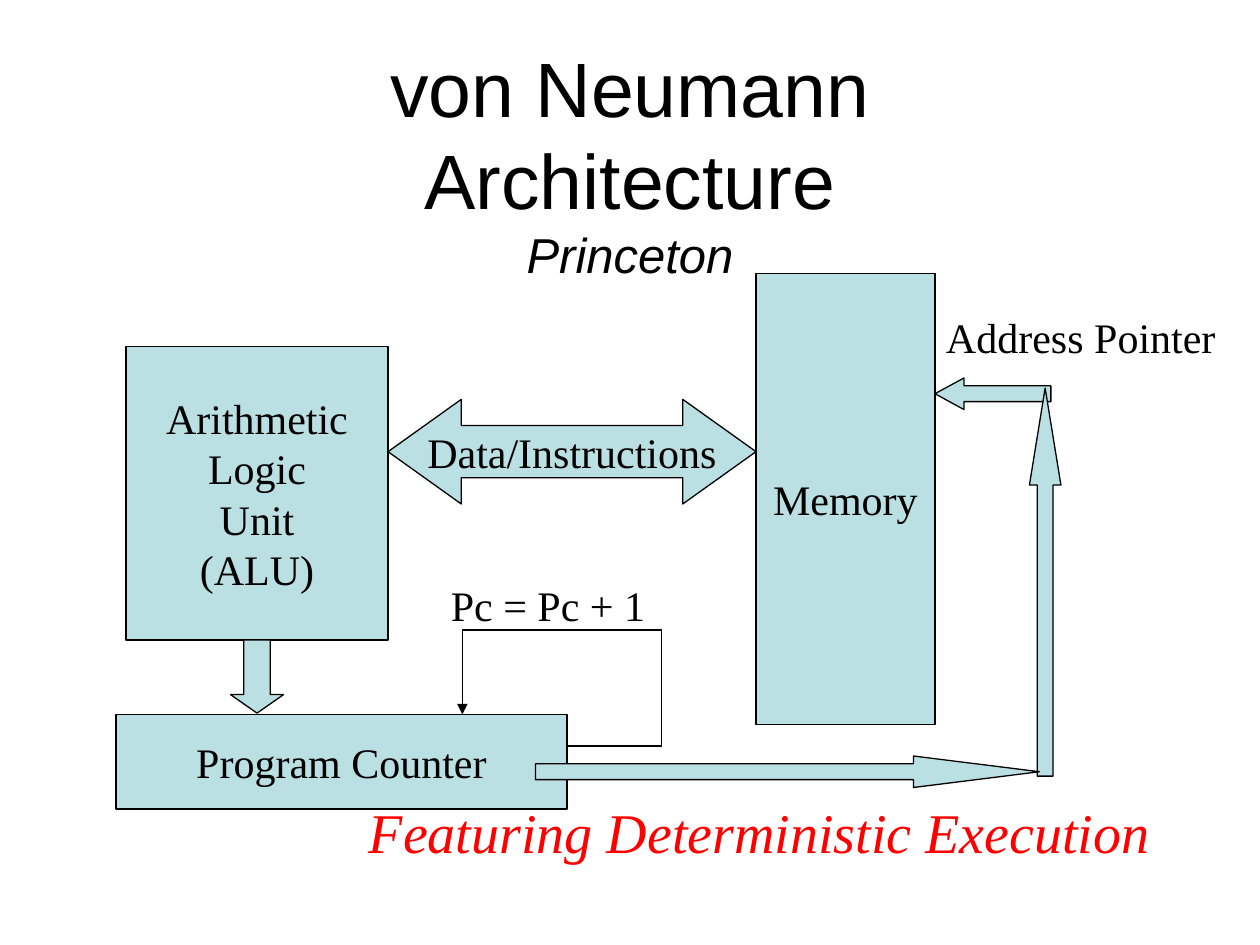
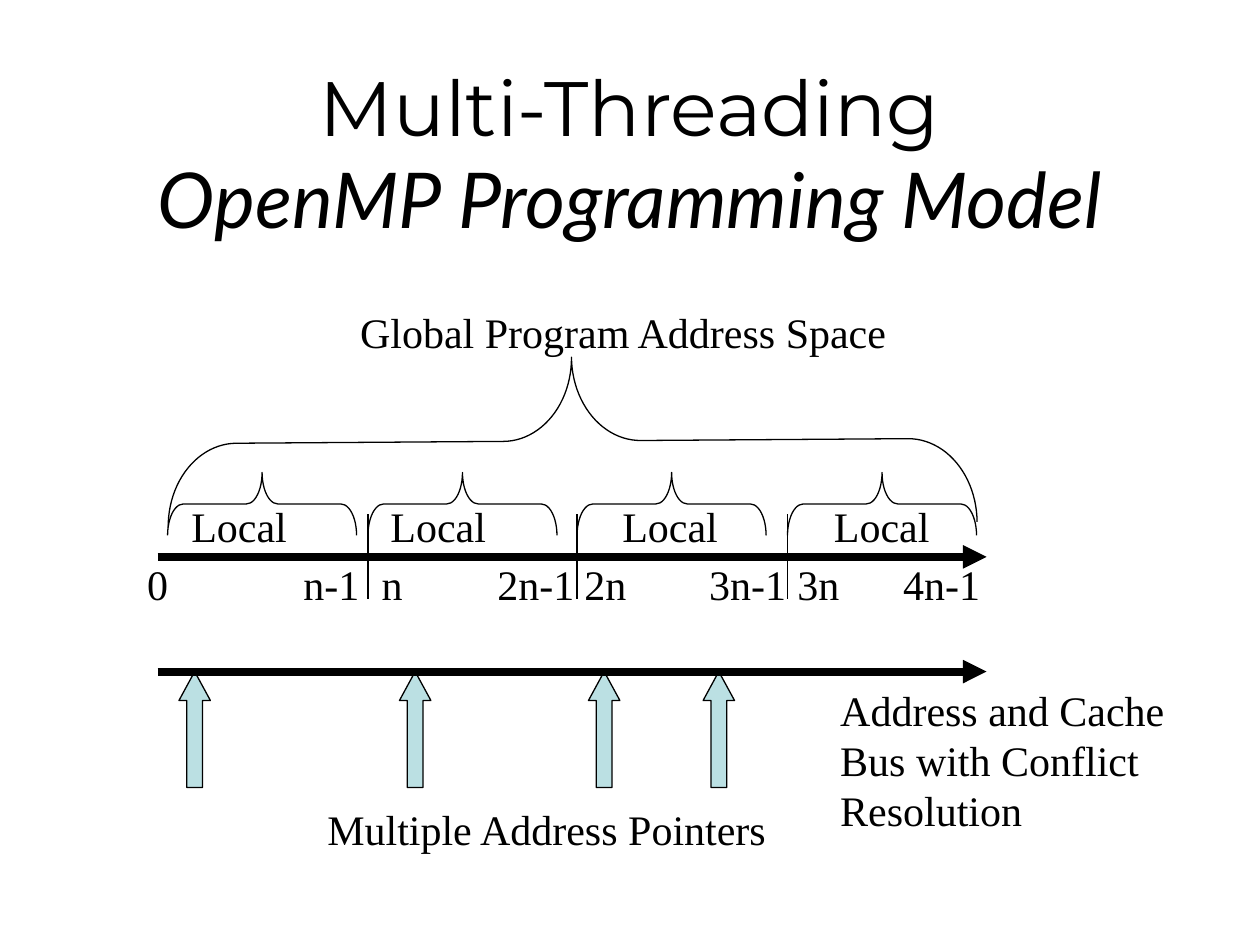
from itertools import pairwise

from lxml.etree import SubElement
from pptx import Presentation
from pptx.dml.color import RGBColor
from pptx.enum.shapes import MSO_CONNECTOR, MSO_SHAPE
from pptx.enum.text import MSO_ANCHOR, PP_ALIGN
from pptx.oxml.ns import qn
from pptx.util import Inches, Pt

BLACK = RGBColor(0x00, 0x00, 0x00)
RED = RGBColor(0xFF, 0x00, 0x00)
PALE_TEAL = RGBColor(0xBB, 0xE0, 0xE3)
BODY_FONT = "Times New Roman"
BODY_SIZE = 24
TITLE_SIZE = 44
OUTLINE = 0.75


class DiagramDeck:
    """Builds diagram slides in one shared style."""

    def __init__(self):
        self.deck = Presentation()
        self.deck.slide_width = Inches(10)
        self.deck.slide_height = Inches(7.5)
        self.page = None

    def new_page(self):
        self.page = self.deck.slides.add_slide(self.deck.slide_layouts[6])

    def span(self, para, text, font=BODY_FONT, size=BODY_SIZE, color=BLACK, italic=False):
        span = para.add_run()
        span.text = text
        span.font.name = font
        span.font.size = Pt(size)
        span.font.color.rgb = color
        span.font.italic = italic

    def paragraphs(self, frame, lines, align, **style):
        for index, line in enumerate(lines):
            para = frame.add_paragraph() if index else frame.paragraphs[0]
            para.alignment = align
            self.span(para, line, **style)

    def text_box(self, left, top, width, height):
        box = self.page.shapes.add_textbox(
            Inches(left), Inches(top), Inches(width), Inches(height))
        box.text_frame.word_wrap = True
        return box.text_frame

    def title(self, top, height, lines):
        frame = self.text_box(0.75, top, 8.5, height)
        frame.vertical_anchor = MSO_ANCHOR.MIDDLE
        para = frame.paragraphs[0]
        para.alignment = PP_ALIGN.CENTER
        for index, (text, font, size, italic) in enumerate(lines):
            if index:
                para.add_line_break()
            self.span(para, text, font, size, italic=italic)

    def label(self, left, top, width, lines, height=0.5, **style):
        frame = self.text_box(left, top, width, height)
        self.paragraphs(frame, lines, PP_ALIGN.LEFT, **style)

    def tabbed_label(self, left, top, width, words, stops):
        frame = self.text_box(left, top, width, 0.5)
        para = frame.paragraphs[0]
        tabs = SubElement(para._p.get_or_add_pPr(), qn("a:tabLst"))
        for stop in stops:
            SubElement(tabs, qn("a:tab"), pos=str(Inches(stop)), algn="l")
        self.span(para, "\t".join(words))

    def shape(self, kind, left, top, width, height, lines=(), adjust=(), filled=True):
        shape = self.page.shapes.add_shape(
            kind, Inches(left), Inches(top), Inches(width), Inches(height))
        shape.shadow.inherit = False
        if filled:
            shape.fill.solid()
            shape.fill.fore_color.rgb = PALE_TEAL
        else:
            shape.fill.background()
        shape.line.color.rgb = BLACK
        shape.line.width = Pt(OUTLINE)
        for index, value in enumerate(adjust):
            shape.adjustments[index] = value
        if lines:
            shape.text_frame.word_wrap = False
            shape.text_frame.vertical_anchor = MSO_ANCHOR.MIDDLE
            self.paragraphs(shape.text_frame, lines, PP_ALIGN.CENTER)
        return shape

    def up_brace(self, center, middle, span, depth, curve, rotation=90):
        brace = self.shape(MSO_SHAPE.LEFT_BRACE, center - depth / 2, middle - span / 2,
                           depth, span, adjust=(curve, 0.5), filled=False)
        brace.rotation = rotation

    def line(self, start, end, weight=OUTLINE, arrow=False):
        line = self.page.shapes.add_connector(
            MSO_CONNECTOR.STRAIGHT, *map(Inches, (*start, *end)))
        line.line.color.rgb = BLACK
        line.line.width = Pt(weight)
        if arrow:
            SubElement(line.line._get_or_add_ln(), qn("a:tailEnd"), type="triangle")
        SubElement(line._element.spPr, qn("a:effectLst"))

    def save(self):
        self.deck.save("out.pptx")


def von_neumann(deck):
    deck.new_page()
    deck.title(0.27, 2.03, [("von Neumann", "Arial", TITLE_SIZE, False),
                            ("Architecture", "Arial", TITLE_SIZE, False),
                            ("Princeton", "Arial", 28, True)])
    deck.shape(MSO_SHAPE.LEFT_ARROW, 7.42, 3, 0.92, 0.25, adjust=(0.5, 0.92))
    deck.label(7.41, 2.42, 2.5, ["Address Pointer"])

    deck.shape(MSO_SHAPE.RECTANGLE, 1, 2.75, 2.08, 2.33,
               ["Arithmetic", "Logic", "Unit", "(ALU)"])
    deck.shape(MSO_SHAPE.RECTANGLE, 6, 2.17, 1.42, 3.58, ["Memory"])
    deck.shape(MSO_SHAPE.RECTANGLE, 0.92, 5.67, 3.58, 0.75, ["Program Counter"])

    increment_loop = [(4.5, 5.92), (5.25, 5.92), (5.25, 5), (3.67, 5), (3.67, 5.67)]
    for start, end in pairwise(increment_loop):
        deck.line(start, end, arrow=end == increment_loop[-1])
    deck.label(3.48, 4.55, 2, ["Pc = Pc + 1"])

    deck.shape(MSO_SHAPE.LEFT_RIGHT_ARROW, 3.08, 3.17, 2.92, 0.83,
               ["Data/Instructions"], (0.5, 0.7))
    deck.shape(MSO_SHAPE.UP_ARROW, 8.17, 3.08, 0.25, 3.08, adjust=(0.5, 3.08))
    deck.shape(MSO_SHAPE.RIGHT_ARROW, 4.25, 6, 4, 0.25, adjust=(0.5, 4))
    deck.shape(MSO_SHAPE.DOWN_ARROW, 1.83, 5.08, 0.42, 0.58, adjust=(0.5, 0.35))
    deck.label(2.83, 6.28, 7.17, ["Featuring Deterministic Execution"], 0.64,
               size=32, color=RED, italic=True)


def multi_threading(deck):
    deck.new_page()
    deck.title(0.42, 1.57, [("Multi-Threading", "Montserrat", TITLE_SIZE, False),
                            ("OpenMP Programming Model", "Lato", TITLE_SIZE, True)])
    deck.label(2.76, 2.38, 4.6, ["Global Program Address Space"])
    deck.up_brace(4.54, 3.5, 6.42, 1.33, 0.41, 89.6)

    deck.line((1.25, 4.42), (7.83, 4.42), 4.5, arrow=True)
    dividers = [2.92, 4.58, 6.25]
    for left in dividers:
        deck.line((left, 4.08), (left, 4.75))
    for left in [1.33, *dividers]:
        deck.up_brace(left + 0.75, 4, 1.5, 0.5, 0.25)
    deck.tabbed_label(1.42, 3.92, 6.92, ["Local"] * 4, [1.58, 3.42, 5.1])
    deck.tabbed_label(1.07, 4.38, 7.1,
                      ["0", "n-1", "n", "2n-1", "2n", "3n-1", "3n", "4n-1"],
                      [1.24, 1.86, 2.78, 3.47, 4.46, 5.16, 6])

    for left in (1.42, 3.17, 4.67, 5.58):
        deck.shape(MSO_SHAPE.UP_ARROW, left, 5.33, 0.25, 0.92, adjust=(0.5, 0.92))
    deck.line((1.25, 5.33), (7.83, 5.33), 4.5, arrow=True)
    deck.label(2.5, 6.33, 3.9, ["Multiple Address Pointers"])
    deck.label(6.57, 5.38, 3.43,
               ["Address and Cache", "Bus with Conflict", "Resolution"], 1.3)


def main():
    deck = DiagramDeck()
    von_neumann(deck)
    multi_threading(deck)
    deck.save()


if __name__ == "__main__":
    main()
